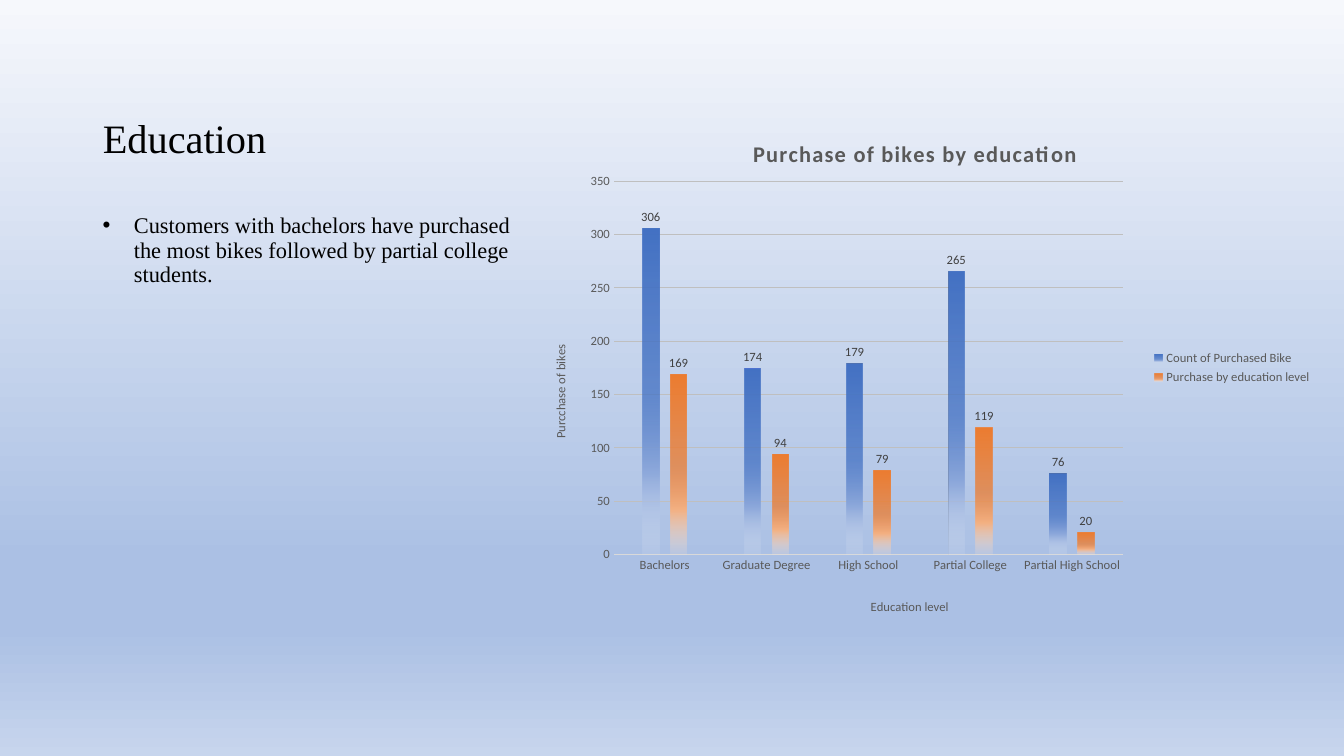
import pptx
import pptx.chart.data
import pptx.dml.color
import pptx.enum.chart
import pptx.enum.text
import pptx.oxml
import pptx.oxml.ns
import pptx.util
from pptx.util import Inches, Pt

COLORS = {"text": "000000", "muted": "595959", "label": "404040",
          "axis": "D9D9D9", "grid": "BFBFBF"}
BACKGROUND = [(0, "F6F8FC", 100), (74, "ABC0E4", 100),
              (83, "ABC0E4", 100), (100, "C7D5ED", 100)]
EDUCATION = ["Bachelors", "Graduate Degree", "High School",
             "Partial College", "Partial High School"]
SERIES = [
    ("Count of Purchased Bike", [306, 174, 179, 265, 76],
     ["4472C4", "8FAADC", "DAE3F3"]),
    ("Purchase by education level", [169, 94, 79, 119, 20],
     ["ED7D31", "F4B183", "FBE5D6"]),
]
SERIF = "Times New Roman"
SANS = "Calibri"


def rgb(name):
    """Return the named colour."""
    return pptx.dml.color.RGBColor.from_string(COLORS[name])


def style_font(font, name, size, color, bold=False):
    """Set face, size, colour and weight of a font."""
    font.name, font.size, font.bold = name, Pt(size), bold
    font.color.rgb = rgb(color)


def set_gradient(parent, stops):
    """Replace the solid fill in parent by a vertical gradient."""
    gs = "".join(
        f'<a:gs pos="{pos * 1000}"><a:srgbClr val="{color}">'
        f'<a:alpha val="{alpha * 1000}"/></a:srgbClr></a:gs>'
        for pos, color, alpha in stops)
    grad = pptx.oxml.parse_xml(
        f'<a:gradFill {pptx.oxml.ns.nsdecls("a")} rotWithShape="1"><a:gsLst>{gs}</a:gsLst>'
        '<a:lin ang="5400000" scaled="0"/></a:gradFill>')
    solid = parent.find(pptx.oxml.ns.qn("a:solidFill"))
    parent.replace(solid, grad)


def set_layout(parent, index, target="", **place):
    """Place a chart part by fractions of the chart area."""
    for old in parent.findall(pptx.oxml.ns.qn("c:layout")):
        parent.remove(old)
    inner = f'<c:layoutTarget val="{target}"/>' if target else ""
    modes = '<c:xMode val="edge"/><c:yMode val="edge"/>'
    values = "".join(f'<c:{key} val="{value}"/>' for key, value in place.items())
    parent.insert(index, pptx.oxml.parse_xml(
        f'<c:layout {pptx.oxml.ns.nsdecls("c")}><c:manualLayout>'
        f'{inner}{modes}{values}</c:manualLayout></c:layout>'))


def add_chart_title(owner, text, size, x, y, bold=False):
    """Give a chart or an axis a placed title and return its paragraph."""
    owner.has_title = True
    title = owner.chart_title if hasattr(owner, "chart_title") else owner.axis_title
    p = title.text_frame.paragraphs[0]
    p.text = text
    style_font(p.font, SANS, size, "muted", bold)
    set_layout(title._element, 1, x=x, y=y)
    return p


def add_heading(s, x, y, w, h):
    """Format the title placeholder in the given box."""
    title = s.shapes.title
    title.left, title.top, title.width, title.height = map(Inches, (x, y, w, h))
    tf = title.text_frame
    tf.text = "Education"
    tf.vertical_anchor = pptx.enum.text.MSO_ANCHOR.BOTTOM
    p = tf.paragraphs[0]
    p.alignment = pptx.enum.text.PP_ALIGN.LEFT
    p.line_spacing = 0.9
    style_font(p.font, SERIF, 28.8, "text")


def add_finding(s, x, y, w, h):
    """Add the bulleted finding in the given box."""
    tf = s.shapes.add_textbox(*map(Inches, (x, y, w, h))).text_frame
    tf.word_wrap = True
    p = tf.paragraphs[0]
    p.text = ("Customers with bachelors have purchased the most bikes "
              "followed by partial college students.")
    p.line_spacing = 0.9
    p.space_before = Pt(10)
    style_font(p.font, SERIF, 16, "text")
    pPr = p._p.get_or_add_pPr()
    pPr.set("marL", str(Inches(0.31)))
    pPr.set("indent", str(Inches(-0.31)))
    for bullet in ('buFont {} typeface="Arial"', 'buChar {} char="•"'):
        xml = bullet.format(pptx.oxml.ns.nsdecls("a"))
        pPr.insert_element_before(pptx.oxml.parse_xml(f"<a:{xml}/>"), "a:defRPr")


def style_axes(chart):
    """Format both axes and their titles."""
    cat, val = chart.category_axis, chart.value_axis
    for axis in (cat, val):
        axis.major_tick_mark = pptx.enum.chart.XL_TICK_MARK.NONE
        style_font(axis.tick_labels.font, SANS, 9, "muted")
    cat.format.line.color.rgb = rgb("axis")
    cat.format.line.width = Pt(0.75)
    val.format.line.fill.background()
    val.minimum_scale, val.maximum_scale, val.major_unit = 0, 350, 50
    val.major_gridlines.format.line.color.rgb = rgb("grid")
    val.major_gridlines.format.line.width = Pt(0.75)
    add_chart_title(cat, "Education level", 9, 0.43, 0.94)
    add_chart_title(val, "Purcchase of bikes", 9, 0.03, 0.45)


def add_purchases_chart(s, x, y, w, h):
    """Add the clustered column chart in the given box."""
    data = pptx.chart.data.CategoryChartData()
    data.categories = EDUCATION
    for name, values, _ in SERIES:
        data.add_series(name, values)
    chart = s.shapes.add_chart(pptx.enum.chart.XL_CHART_TYPE.COLUMN_CLUSTERED,
                               *map(Inches, (x, y, w, h)), data).chart
    style_font(chart.font, SANS, 10, "text")
    p = add_chart_title(chart, "Purchase of bikes by education", 16, 0.28, 0.05, True)
    p.runs[0].font._element.set("spc", "100")
    style_axes(chart)
    chart.has_legend = True
    chart.legend.position = pptx.enum.chart.XL_LEGEND_POSITION.RIGHT
    chart.legend.include_in_layout = False
    style_font(chart.legend.font, SANS, 9, "muted")
    plot = chart.plots[0]
    plot.gap_width, plot.overlap, plot.vary_by_categories = 355, -70, False
    set_layout(chart._chartSpace.chart.plotArea, 0, "inner",
               x=0.11, y=0.14, w=0.64, h=0.72)
    for ser, (_, _, (strong, soft, pale)) in zip(plot.series, SERIES):
        ser.format.fill.solid()
        set_gradient(ser._element.spPr, [(0, strong, 100), (51, strong, 75),
                                         (75, soft, 100), (100, pale, 15)])
        labels = ser.data_labels
        labels.show_value = True
        labels.position = pptx.enum.chart.XL_LABEL_POSITION.OUTSIDE_END
        style_font(labels.font, SANS, 9, "label")


def main():
    """Build the slide and save it."""
    prs = pptx.Presentation()
    prs.slide_width, prs.slide_height = Inches(13.33), Inches(7.5)
    s = prs.slides.add_slide(prs.slide_layouts[5])
    s.background.fill.solid()
    set_gradient(s._element.cSld.bg.bgPr, BACKGROUND)
    add_heading(s, 0.92, 1.08, 4.3, 0.58)
    add_finding(s, 0.92, 2.08, 4.3, 0.86)
    add_purchases_chart(s, 5.22, 1.08, 7.89, 5.14)
    prs.save("out.pptx")


if __name__ == "__main__":
    main()
